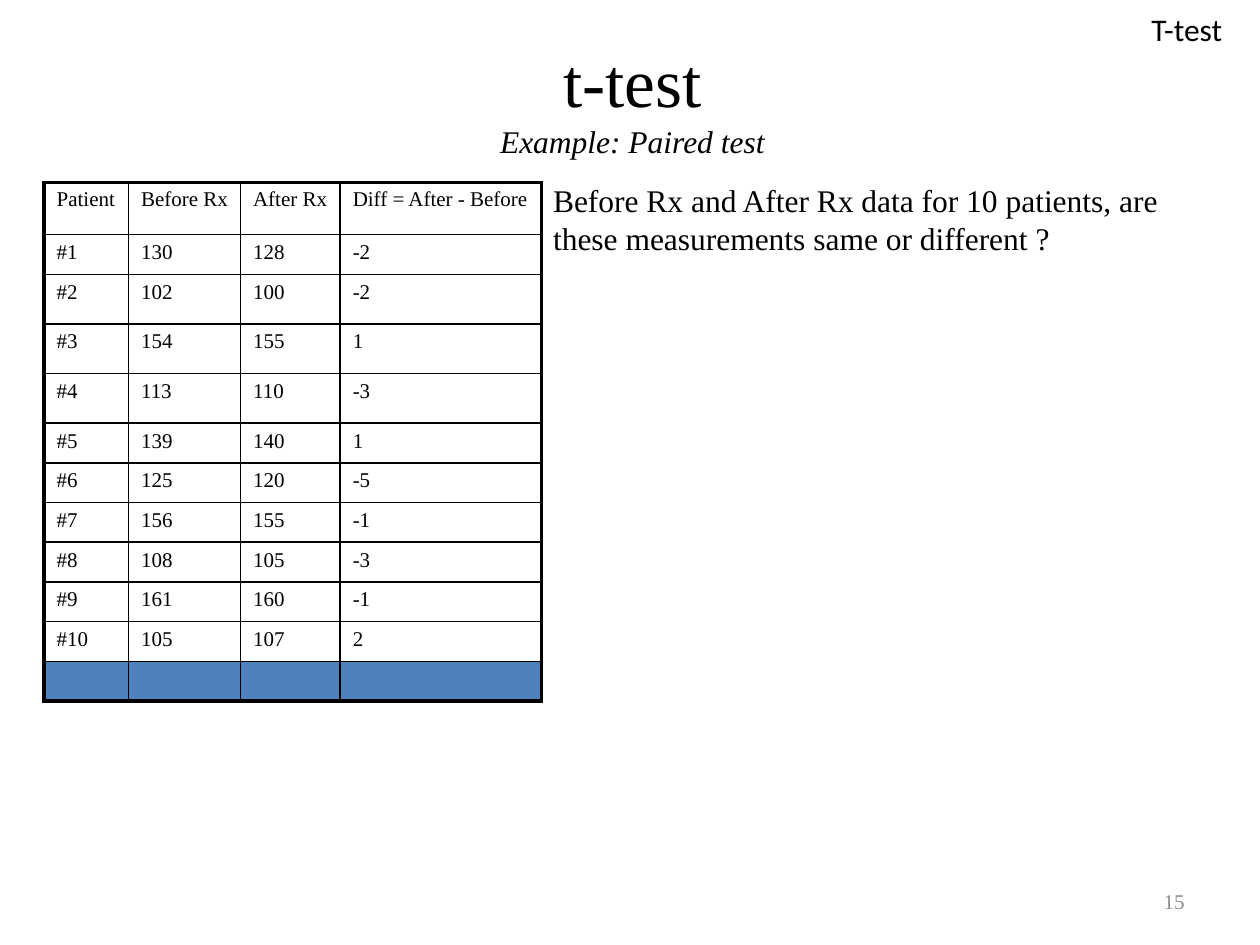
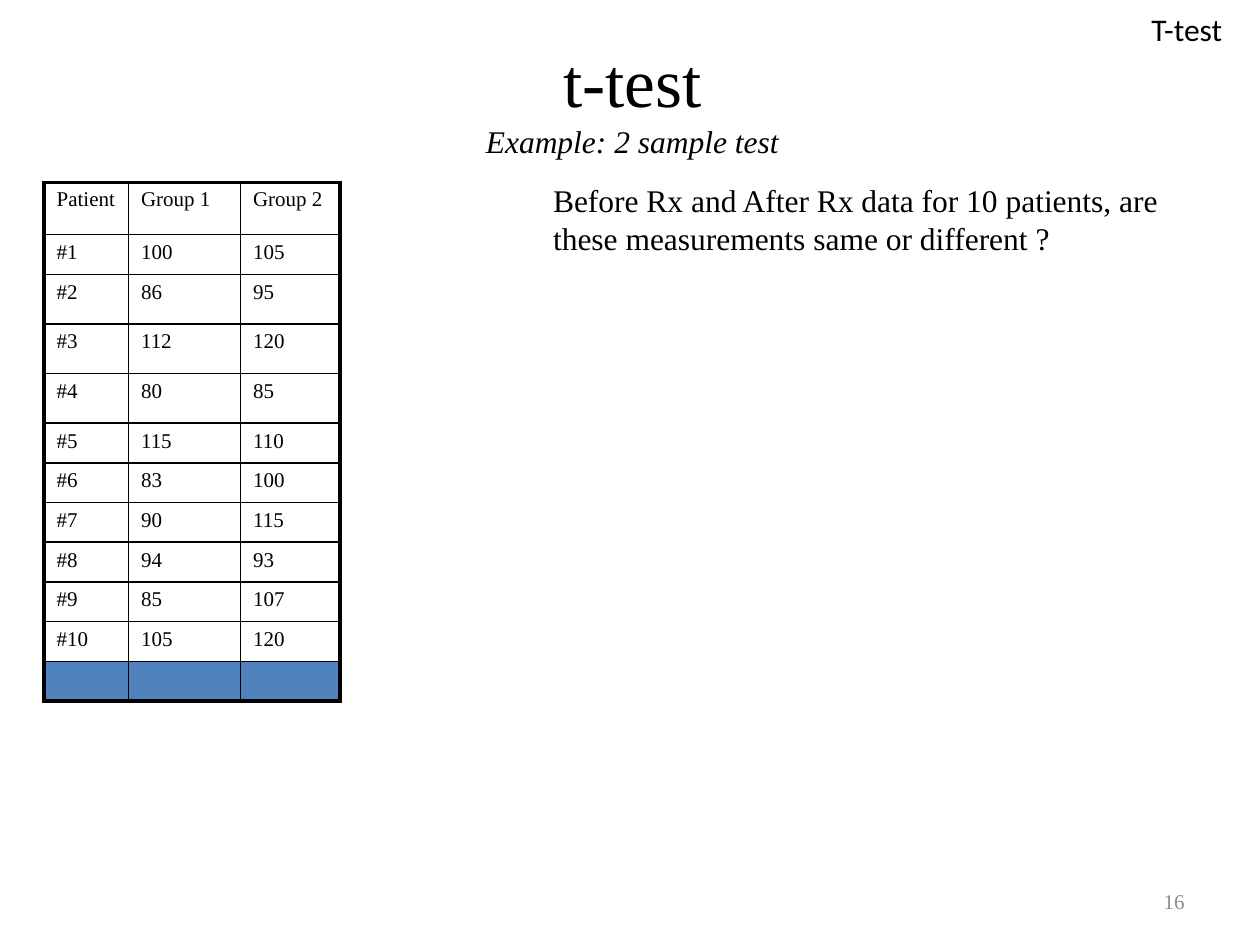
from lxml.etree import SubElement
from pptx import Presentation
from pptx.dml.color import RGBColor as RGB
from pptx.enum.text import MSO_ANCHOR as ANCHOR, MSO_AUTO_SIZE as AUTO, PP_ALIGN as ALIGN
from pptx.oxml.ns import qn
from pptx.util import Cm, Pt

COLORS = {"text": "000000", "border": "000000", "total": "4F81BD", "number": "8C8C8C"}
SERIF, SANS = "Times New Roman", "Calibri"

TITLE = "t-test"
TAG = "T-test"
QUESTION = "Before Rx and After Rx data for 10 patients, are these measurements same or different ?"

BEFORE = [130, 102, 154, 113, 139, 125, 156, 108, 161, 105]
AFTER = [128, 100, 155, 110, 140, 120, 155, 105, 160, 107]
GROUP_1 = [100, 86, 112, 80, 115, 83, 90, 94, 85, 105]
GROUP_2 = [105, 95, 120, 85, 110, 100, 115, 93, 107, 120]

SLIDES = [
    {
        "number": 15,
        "subtitle": "Example: Paired test",
        "columns": {
            "Before Rx": BEFORE,
            "After Rx": AFTER,
            "Diff = After - Before": [a - b for a, b in zip(AFTER, BEFORE)],
        },
    },
    {
        "number": 16,
        "subtitle": "Example: 2 sample test",
        "columns": {"Group 1": GROUP_1, "Group 2": GROUP_2},
    },
]

COL_WIDTHS = [1.7, 2.26, 2.01, 4.06]
ROW_HEIGHTS = [1.05, 0.8] + [1.0] * 3 + [0.8] * 7
TABLE_LEFT, TABLE_TOP = 0.89, 3.68
THIN, THICK = Pt(1), Pt(2.25)


def format_run(r, size, font=SERIF, color="text", italic=False):
    r.font.size = Pt(size)
    r.font.name = font
    r.font.italic = italic
    r.font.color.rgb = RGB.from_string(COLORS[color])


def add_text(s, box, text, size, font=SERIF, color="text", align=ALIGN.LEFT,
             anchor=ANCHOR.TOP, wrap=True):
    tf = s.shapes.add_textbox(*(Cm(v) for v in box)).text_frame
    tf.word_wrap = wrap
    tf.auto_size = AUTO.NONE
    tf.vertical_anchor = anchor
    tf.text = text
    p = tf.paragraphs[0]
    p.alignment = align
    for r in p.runs:
        format_run(r, size, font, color)
    return p


def set_borders(cell, widths):
    tc_pr = cell._tc.get_or_add_tcPr()
    for side, width in widths.items():
        ln = SubElement(tc_pr, qn(f"a:ln{side}"), w=str(width))
        fill = SubElement(ln, qn("a:solidFill"))
        SubElement(fill, qn("a:srgbClr"), val=COLORS["border"])


def add_data_table(s, columns):
    patients = [f"#{i}" for i in range(1, 11)]
    rows = [["Patient", *columns], *zip(patients, *columns.values())]
    rows.append([""] * len(rows[0]))
    last_row, last_col = len(rows) - 1, len(rows[0]) - 1
    widths = COL_WIDTHS[:last_col + 1]
    table = s.shapes.add_table(
        len(rows), len(widths), Cm(TABLE_LEFT), Cm(TABLE_TOP),
        Cm(sum(widths)), Cm(sum(ROW_HEIGHTS))).table
    table.first_row = table.horz_banding = False
    for col, width in zip(table.columns, widths):
        col.width = Cm(width)
    for row, height in zip(table.rows, ROW_HEIGHTS):
        row.height = Cm(height)
    for i, values in enumerate(rows):
        for j, value in enumerate(values):
            cell = table.cell(i, j)
            set_borders(cell, {
                "L": THICK if j == 0 else THIN,
                "R": THICK if j == last_col else THIN,
                "T": THICK if i == 0 else THIN,
                "B": THICK if i == last_row else THIN,
            })
            p = cell.text_frame.paragraphs[0]
            if i == last_row:
                cell.fill.solid()
                cell.fill.fore_color.rgb = RGB.from_string(COLORS["total"])
                p._p.get_or_add_endParaRPr().set("sz", "1200")
                continue
            cell.fill.background()
            p.text = str(value)
            format_run(p.runs[0], 12)
            if i == 0:
                p.line_spacing = 0.95


def build_slide(prs, content):
    s = prs.slides.add_slide(prs.slide_layouts[6])
    title = add_text(s, (0.89, 0.91, 23.72, 2.18), f"{TITLE}\v{content['subtitle']}", 39.6,
                     align=ALIGN.CENTER, anchor=ANCHOR.MIDDLE)
    format_run(title.runs[1], 18, italic=True)
    add_data_table(s, content["columns"])
    add_text(s, (10.9, 3.53, 13.79, 2.92), QUESTION, 18)
    tag = add_text(s, (22.96, 0.13, 2.13, 0.99), TAG, 18, SANS, wrap=False)
    tag.line_spacing = 0.95
    add_text(s, (18.21, 17.65, 5.92, 1.02), str(content["number"]), 12,
             color="number", align=ALIGN.RIGHT, anchor=ANCHOR.MIDDLE)


def main():
    prs = Presentation()
    prs.slide_width, prs.slide_height = Cm(25.4), Cm(19.05)
    for content in SLIDES:
        build_slide(prs, content)
    prs.save("out.pptx")


if __name__ == "__main__":
    main()
